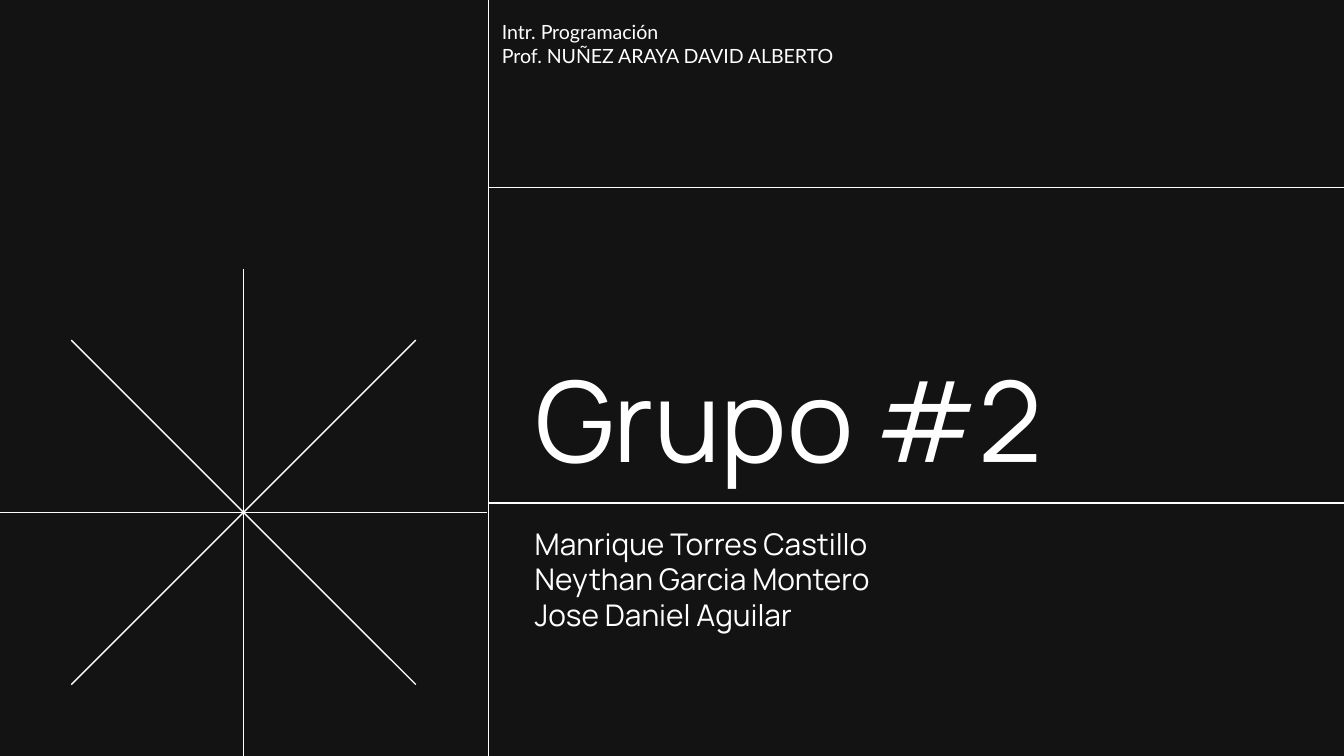
from math import cos, radians, sin

from lxml.etree import SubElement
from pptx import Presentation
from pptx.dml.color import RGBColor
from pptx.enum.shapes import MSO_CONNECTOR
from pptx.enum.text import MSO_ANCHOR, MSO_AUTO_SIZE, PP_ALIGN
from pptx.oxml.ns import qn
from pptx.util import Pt

BLACK = RGBColor(0x13, 0x13, 0x13)
WHITE = RGBColor(0xFF, 0xFF, 0xFF)
HEADING_FONT = "Manrope"
COURSE_FONT = "Lato"


def draw_rule(shapes, x1, y1, x2, y2):
    """Draw a thin white line between two points."""
    rule = shapes.add_connector(
        MSO_CONNECTOR.STRAIGHT, Pt(x1), Pt(y1), Pt(x2), Pt(y2))
    rule.line.color.rgb = WHITE
    rule.line.width = Pt(0.75)
    SubElement(rule._element.spPr, qn("a:effectLst"))


def write_lines(frame, lines, font, size, anchor=MSO_ANCHOR.TOP, spacing=1.0):
    """Fill a text frame with one left-aligned paragraph per line."""
    frame.word_wrap = True
    frame.auto_size = MSO_AUTO_SIZE.NONE
    frame.vertical_anchor = anchor
    frame.margin_left = frame.margin_right = Pt(7.2)
    frame.margin_top = frame.margin_bottom = Pt(7.2)
    for index, line in enumerate(lines):
        paragraph = frame.add_paragraph() if index else frame.paragraphs[0]
        paragraph.alignment = PP_ALIGN.LEFT
        paragraph.line_spacing = spacing
        run = paragraph.add_run()
        run.text = line
        run.font.name = font
        run.font.size = Pt(size)
        run.font.color.rgb = WHITE


def draw_star(slide, left, top, size):
    """Draw four crossing lines of equal length inside a square."""
    radius = size / 2
    center_x, center_y = left + radius, top + radius
    star = slide.shapes.add_group_shape()
    for angle in range(0, 180, 45):
        dx, dy = radius * cos(radians(angle)), radius * sin(radians(angle))
        draw_rule(star.shapes, center_x - dx, center_y - dy,
                  center_x + dx, center_y + dy)


def draw_dividers(slide, left, top, width, height):
    """Draw the left edge of the text panel and its two horizontal rules."""
    draw_rule(slide.shapes, left, top, left, top + height)
    for offset in (100.6, 269.4):
        draw_rule(slide.shapes, left, top + offset, left + width, top + offset)


def write_course(slide, left, top, width, height):
    """Write the course and teacher at the top of the panel."""
    course = slide.shapes.add_textbox(Pt(left), Pt(top), Pt(width), Pt(height))
    write_lines(course.text_frame,
                ["Intr. Programación", "Prof. NUÑEZ ARAYA DAVID ALBERTO"],
                COURSE_FONT, 10.5)


def write_group(slide, left, top, width, height):
    """Write the group title with its members below."""
    title_height, members_top, members_height = 147.6, 154, height - 154
    title = slide.shapes.title
    title.left, title.top = Pt(left), Pt(top)
    title.width, title.height = Pt(width), Pt(title_height)
    write_lines(title.text_frame, ["Grupo #2"], HEADING_FONT, 60,
                MSO_ANCHOR.BOTTOM, 0.9)
    members = slide.shapes.add_textbox(
        Pt(left), Pt(top + members_top), Pt(width), Pt(members_height))
    write_lines(members.text_frame,
                ["Manrique Torres Castillo", "Neythan Garcia Montero",
                 "Jose Daniel Aguilar"], HEADING_FONT, 16)


def main():
    """Build the cover slide and save it."""
    deck = Presentation()
    deck.slide_width, deck.slide_height = Pt(720), Pt(405)
    slide = deck.slides.add_slide(deck.slide_layouts[5])
    slide.background.fill.solid()
    slide.background.fill.fore_color.rgb = BLACK
    write_group(slide, 279.4, 120.2, 380, 261.4)
    draw_star(slide, 0, 144, 261)
    draw_dividers(slide, 261.8, 0, 458.2, 405)
    write_course(slide, 261.8, 3.6, 380, 107.3)
    deck.save("out.pptx")


if __name__ == "__main__":
    main()
